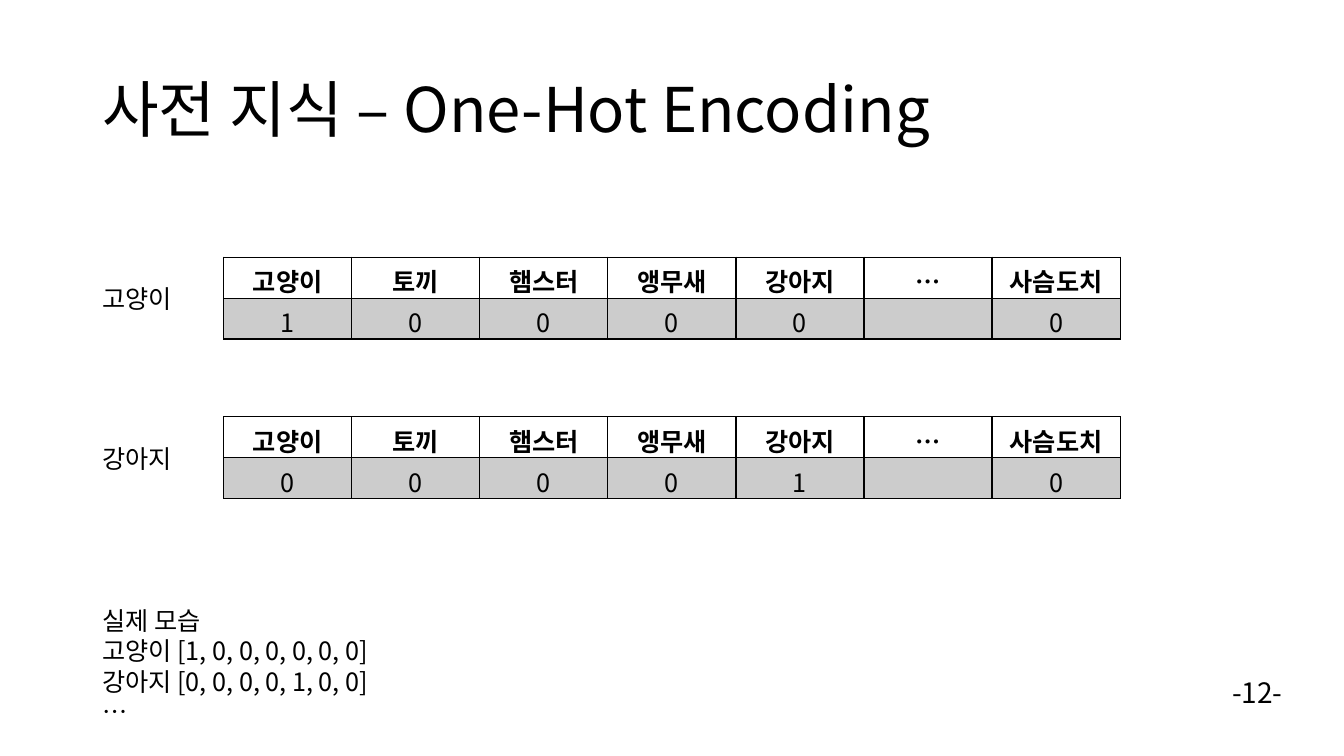
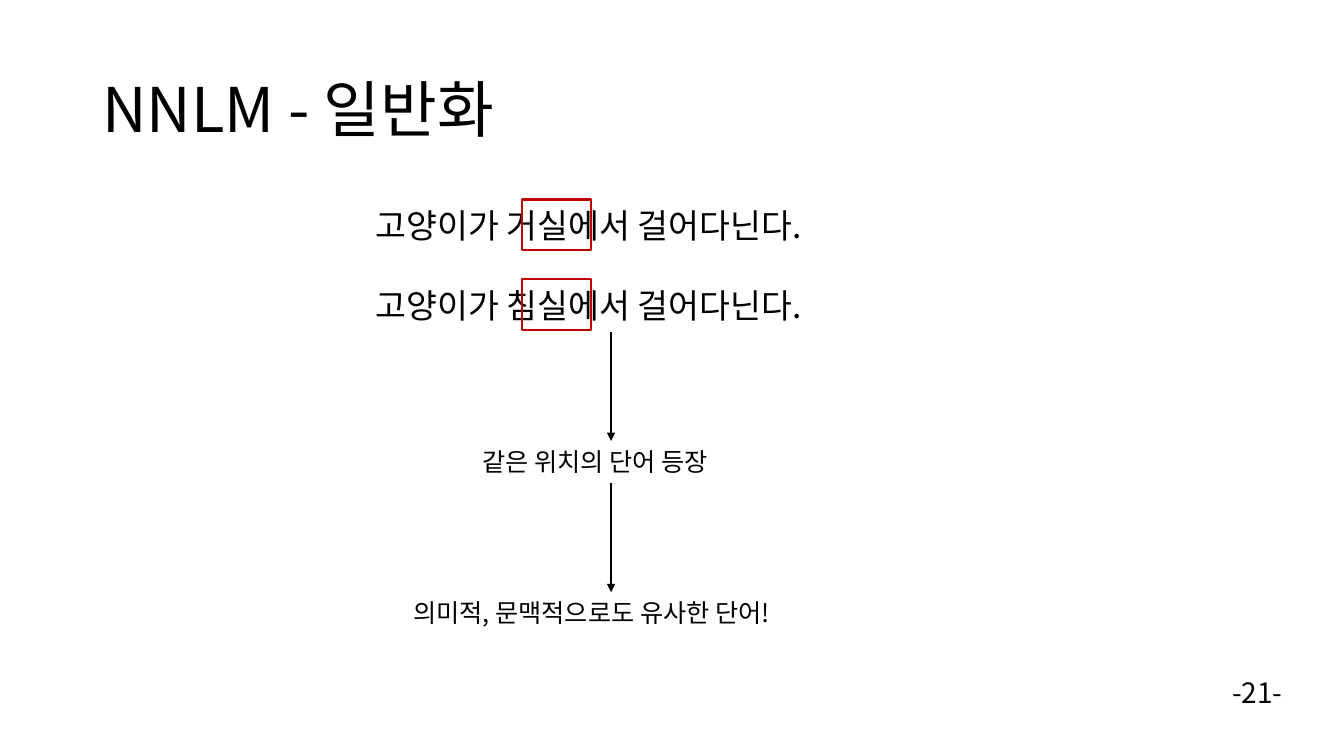
from lxml import etree
from pptx import Presentation
from pptx.dml.color import RGBColor
from pptx.enum.shapes import MSO_CONNECTOR, MSO_SHAPE
from pptx.enum.text import MSO_ANCHOR, PP_ALIGN
from pptx.oxml.ns import qn
from pptx.util import Pt

RECT = MSO_SHAPE.RECTANGLE
STRAIGHT = MSO_CONNECTOR.STRAIGHT
TOP, MIDDLE = MSO_ANCHOR.TOP, MSO_ANCHOR.MIDDLE
LEFT, CENTER = PP_ALIGN.LEFT, PP_ALIGN.CENTER

PX = 9525
FONT = "Noto Sans CJK KR"
BLACK, GRAY, RED = "000000", "CCCCCC", "C00000"
MARGIN = 88
SIDE_TOP, SIDE_BOTTOM = 0, 2

ANIMALS = ["고양이", "토끼", "햄스터", "앵무새", "강아지", "…", "사슴도치"]


def px(*lengths):
    """Turn px lengths into EMU."""
    return [n * PX for n in lengths]


def rgb(code):
    """Turn a hex string into a colour."""
    return RGBColor.from_string(code)


def write(p, text, size, bold=False, align=LEFT):
    """Add one styled run to a paragraph."""
    p.alignment = align
    r = p.add_run()
    r.text = text
    r.font.name = FONT
    r.font.size = Pt(size)
    r.font.bold = bold
    r.font.color.rgb = rgb(BLACK)
    etree.SubElement(r.font._element, qn("a:ea"), typeface=FONT)


def add_text(s, box, lines, size, anchor=TOP, spacing=None, gap=0):
    """Add a text box with one paragraph per line."""
    sp = s.shapes.add_textbox(*px(*box))
    tf = sp.text_frame
    tf.word_wrap = True
    tf.vertical_anchor = anchor
    for i, line in enumerate(lines):
        p = tf.add_paragraph() if i else tf.paragraphs[0]
        p.line_spacing = spacing
        if i and gap:
            p.space_before = Pt(gap)
        write(p, line, size)
    return sp


def add_page(prs, title, number):
    """Add a blank slide with its title and page number."""
    s = prs.slides.add_slide(prs.slide_layouts[6])
    add_text(s, (MARGIN, 38, 1104, 139), [title], 44, MIDDLE, 0.9)
    add_text(s, (1164, 639, 72, 42), [f"-{number}-"], 20)
    return s


def add_borders(cell):
    """Draw a thin black line on each side of a cell."""
    tc_pr = cell._tc.get_or_add_tcPr()
    for side in ("lnL", "lnR", "lnT", "lnB"):
        ln = etree.SubElement(tc_pr, qn(f"a:{side}"), w=str(Pt(1)))
        fill = etree.SubElement(ln, qn("a:solidFill"))
        etree.SubElement(fill, qn("a:srgbClr"), val=BLACK)


def add_one_hot(s, box, name):
    """Add a labelled table that marks one animal with 1."""
    x, y, col_w, row_h = box
    add_text(s, (MARGIN, y + 20, 92, 38), [name], 18)
    values = ["" if a == "…" else str(int(a == name)) for a in ANIMALS]
    cols = len(ANIMALS)
    table = s.shapes.add_table(2, cols, *px(x, y, col_w * cols, row_h * 2)).table
    table.first_row = table.horz_banding = False
    for col in table.columns:
        col.width = col_w * PX
    for i, row in enumerate((ANIMALS, values)):
        for j, text in enumerate(row):
            cell = table.cell(i, j)
            add_borders(cell)
            if i:
                cell.fill.solid()
                cell.fill.fore_color.rgb = rgb(GRAY)
            else:
                cell.fill.background()
            if text:
                write(cell.text_frame.paragraphs[0], text, 18, i == 0, CENTER)


def add_frame(s, box):
    """Outline a word in red."""
    sp = s.shapes.add_shape(RECT, *px(*box))
    sp.shadow.inherit = False
    sp.fill.background()
    sp.line.color.rgb = rgb(RED)
    sp.line.width = Pt(1.5)


def add_arrow(s, upper, lower):
    """Join two boxes with a downward arrow."""
    cx = s.shapes.add_connector(STRAIGHT, 0, 0, 0, 0)
    cx.begin_connect(upper, SIDE_BOTTOM)
    cx.end_connect(lower, SIDE_TOP)
    cx.line.color.rgb = rgb(BLACK)
    cx.line.width = Pt(1.5)
    etree.SubElement(cx.line._get_or_add_ln(), qn("a:tailEnd"), type="triangle")
    etree.SubElement(cx._element.spPr, qn("a:effectLst"))


def one_hot_slide(prs):
    """Build the slide on one-hot encoding."""
    s = add_page(prs, "사전 지식 – One-Hot Encoding", 12)
    for y, name in ((245, "고양이"), (397, "강아지")):
        add_one_hot(s, (213, y, 122, 39), name)
    vectors = [
        "실제 모습",
        "고양이 [1, 0, 0, 0, 0, 0, 0]",
        "강아지 [0, 0, 0, 0, 1, 0, 0]",
        "…",
    ]
    add_text(s, (MARGIN, 572, 293, 126), vectors, 18)


def generalization_slide(prs):
    """Build the slide on generalization in NNLM."""
    s = add_page(prs, "NNLM - 일반화", 21)
    x, y = 348, 190
    sentences = [f"고양이가 {room}에서 걸어다닌다." for room in ("거실", "침실")]
    steps = [add_text(s, (x, y, 468, 126), sentences, 24, gap=28.5)]
    for i in range(len(sentences)):
        add_frame(s, (x + 149, y + i * 76, 66, 48))
    steps.append(add_text(s, (450, 420, 264, 40), ["같은 위치의 단어 등장"], 18))
    steps.append(
        add_text(s, (384, 564, 396, 40), ["의미적, 문맥적으로도 유사한 단어!"], 18)
    )
    for upper, lower in zip(steps, steps[1:]):
        add_arrow(s, upper, lower)


def main():
    """Build and save the presentation."""
    prs = Presentation()
    prs.slide_width, prs.slide_height = px(1280, 720)
    one_hot_slide(prs)
    generalization_slide(prs)
    prs.save("out.pptx")


if __name__ == "__main__":
    main()
